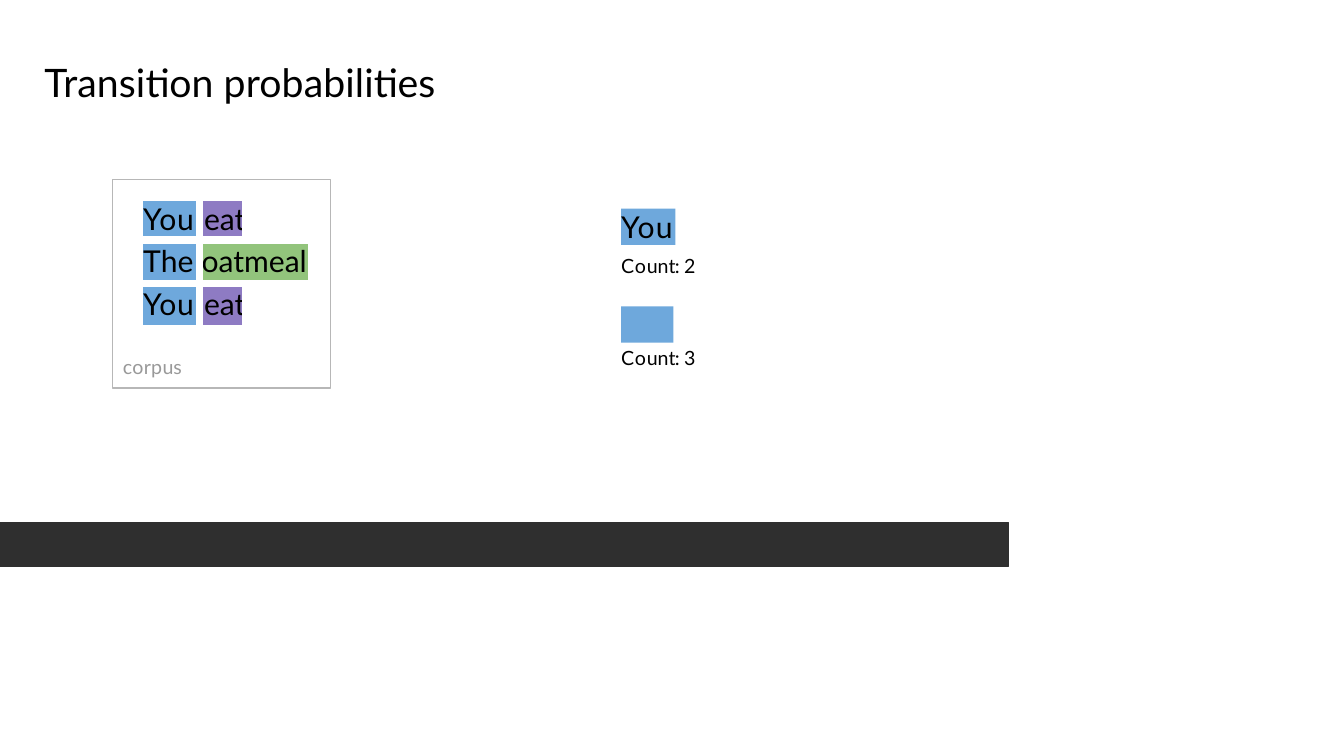
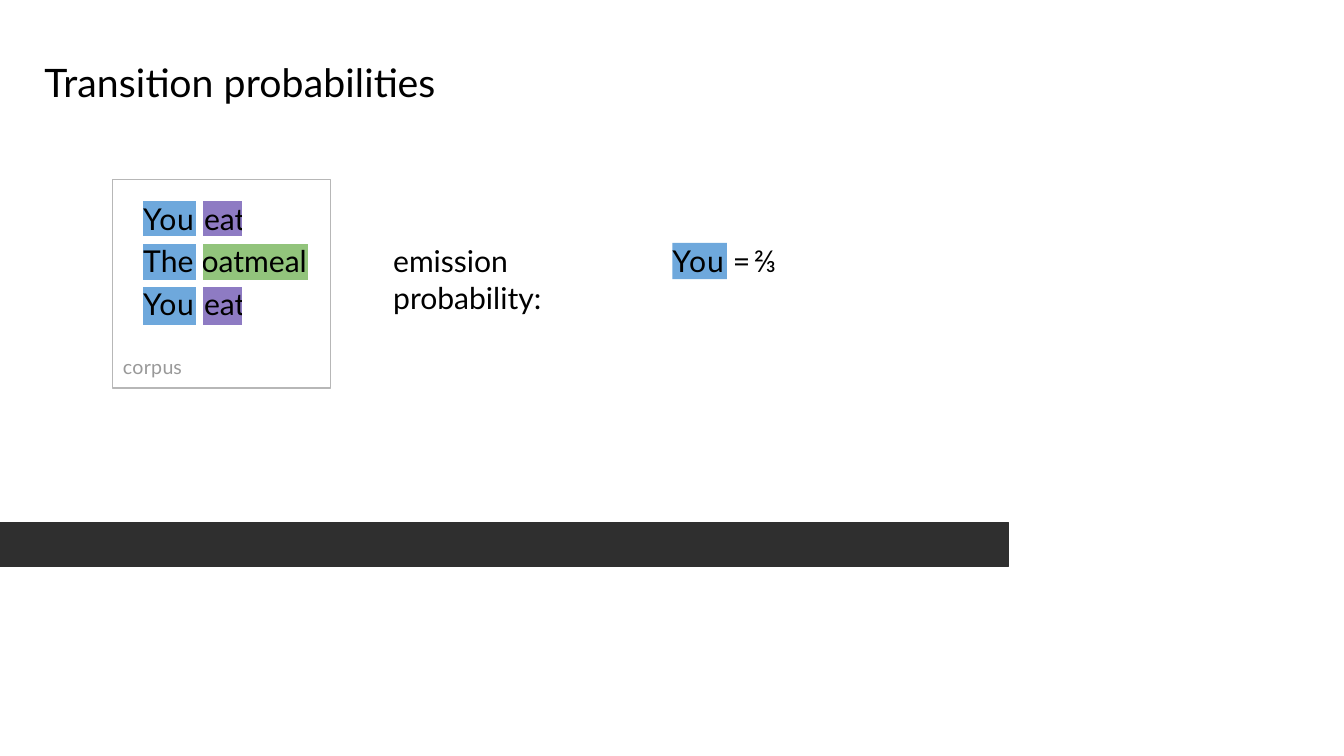
"""Build two slides on transition probabilities from a small tagged corpus."""
from lxml import etree
from pptx import Presentation
from pptx import util as u
from pptx.dml.color import RGBColor
from pptx.enum import shapes, text
from pptx.oxml import ns

COLORS = {"band": "2F2F2F", "frame": "B7B7B7", "muted": "999999", "text": "000000",
          "white": "FFFFFF", "blue": "6EA8DC", "purple": "8E7BC3", "green": "92C47C"}
FONT = "Lato"
TITLE_SIZE, WORD_SIZE, LABEL_SIZE = 28, 21.5, 14
NO_TABLE_STYLE = "{2D5ABB26-0587-4C30-8999-92F81FD0307C}"

TITLE = [("Transition probabilities", 0.1)]
CORPUS_LABEL = [("corp", 0.2), ("us", -0.1)]
CHIP_WORD = [("Yo", 0.8), ("u", -0.1)]
COLUMN_WIDTHS = (0.56, 0.46, 0.62)
EAT = ([("eat", 0)], "purple", 0.04, 1)
OATMEAL = ([("oat", 0), ("m", -0.1), ("eal", 0)], "green", 0.02, 2)
YOU = ([("You", 0.5)], "blue", 0, 1)
THE = ([("The", 0.1)], "blue", 0, 1)
CORPUS_ROWS = [
    {"height": 0.39, "top": 0, "before": 0, "line": 25.6, "cells": (YOU, EAT)},
    {"height": 0.43, "top": 0.03, "before": 2.3, "line": None, "cells": (THE, OATMEAL)},
    {"height": 0.41, "top": 0.04, "before": 2.8, "line": 25, "cells": (YOU, EAT)},
]
COUNTS = [
    {"chip": (6.16, 2.07, 0.54, 0.36), "word": CHIP_WORD, "label_top": 2.51, "count": "2"},
    {"chip": (6.16, 3.04, 0.52, 0.36), "word": [], "label_top": 3.42, "count": "3"},
]
EMISSION = [("emission probability:", 0)]
RATIO = [("= ", -3.2), ("⅔", 0)]


def rgb(name):
    return RGBColor.from_string(COLORS[name])


def write(frame, runs, size, color="text", insets=(0.01, 0.01), before=0, line=None,
          align=text.PP_ALIGN.LEFT):
    frame.word_wrap = True
    frame.auto_size = text.MSO_AUTO_SIZE.NONE
    frame.vertical_anchor = text.MSO_ANCHOR.TOP
    frame.margin_left, frame.margin_top = (u.Inches(inset) for inset in insets)
    frame.margin_right = frame.margin_bottom = 0
    fill_paragraph(frame.paragraphs[0], runs, size, color, before, line, align)


def fill_paragraph(paragraph, runs, size, color, before, line, align):
    paragraph.alignment = align
    paragraph.space_before = u.Pt(before)
    if line:
        paragraph.line_spacing = u.Pt(line)
    for content, spacing in runs:
        run = paragraph.add_run()
        run.text = content
        run.font.name, run.font.size = FONT, u.Pt(size)
        run.font.color.rgb = rgb(color)
        run._r.get_or_add_rPr().set("spc", str(round(spacing * 100)))


def add_text(slide, box, runs, size, color="text", before=1):
    shape = slide.shapes.add_textbox(*map(u.Inches, box))
    write(shape.text_frame, runs, size, color, before=before)


def add_box(slide, box, fill=None, line=None):
    shape = slide.shapes.add_shape(shapes.MSO_SHAPE.RECTANGLE, *map(u.Inches, box))
    shape.shadow.inherit = False
    if fill:
        shape.fill.solid()
        shape.fill.fore_color.rgb = rgb(fill)
    else:
        shape.fill.background()
    if line:
        shape.line.color.rgb = rgb(line)
        shape.line.width = u.Pt(0.75)
    else:
        shape.line.fill.background()
    return shape


def add_chip(slide, box, runs):
    chip = add_box(slide, box, "blue")
    if runs:
        write(chip.text_frame, runs, WORD_SIZE, insets=(0, 0), line=25.6)


def add_borders(cell, visible):
    properties = cell._tc.get_or_add_tcPr()
    for side in "LRTB":
        border = etree.SubElement(properties, ns.qn("a:ln" + side))
        if side in visible:
            border.set("w", str(u.Pt(6)))
            solid = etree.SubElement(border, ns.qn("a:solidFill"))
            etree.SubElement(solid, ns.qn("a:srgbClr")).set("val", COLORS["white"])
        else:
            etree.SubElement(border, ns.qn("a:noFill"))


def add_corpus_table(slide):
    height = sum(row["height"] for row in CORPUS_ROWS)
    box = (1.42, 1.99, sum(COLUMN_WIDTHS), height)
    last_row, last_column = len(CORPUS_ROWS) - 1, len(COLUMN_WIDTHS) - 1
    table = slide.shapes.add_table(last_row + 1, last_column + 1, *map(u.Inches, box)).table
    table.first_row = table.horz_banding = False
    table._tbl.tblPr.find(ns.qn("a:tableStyleId")).text = NO_TABLE_STYLE
    for column, width in zip(table.columns, COLUMN_WIDTHS):
        column.width = u.Inches(width)
    for row_index, row in enumerate(CORPUS_ROWS):
        table.rows[row_index].height = u.Inches(row["height"])
        vertical = ("T" if row_index else "") + ("B" if row_index < last_row else "")
        column_index = 0
        while column_index <= last_column:
            filled = column_index < len(row["cells"])
            runs, color, indent, span = row["cells"][column_index] if filled else ([], None, 0, 1)
            cell = table.cell(row_index, column_index)
            end = column_index + span - 1
            if span > 1:
                cell.merge(table.cell(row_index, end))
            sides = ("L" if column_index else "") + ("R" if end < last_column else "")
            add_borders(cell, sides + vertical)
            cell.margin_left, cell.margin_top = u.Inches(indent), u.Inches(row["top"])
            cell.margin_right = cell.margin_bottom = 0
            if color:
                cell.fill.solid()
                cell.fill.fore_color.rgb = rgb(color)
            else:
                cell.fill.background()
            centred = color == "purple"
            fill_paragraph(cell.text_frame.paragraphs[0], runs, WORD_SIZE, "text",
                           row["before"], row["line"],
                           text.PP_ALIGN.CENTER if centred else text.PP_ALIGN.LEFT)
            column_index = end + 1


def add_corpus_slide(presentation):
    slide = presentation.slides.add_slide(presentation.slide_layouts[5])
    add_box(slide, (0, 5.18, 10, 0.44), "band", "band")
    title = slide.shapes.title
    title.left, title.top, title.width, title.height = map(u.Inches, (0.43, 0.57, 5, 0.49))
    write(title.text_frame, TITLE, TITLE_SIZE, before=0.9)
    add_box(slide, (1.12, 1.78, 2.16, 2.07), line="frame")
    add_text(slide, (1.21, 3.51, 1, 0.26), CORPUS_LABEL, LABEL_SIZE, "muted")
    add_corpus_table(slide)
    return slide


def main():
    presentation = Presentation()
    presentation.slide_width, presentation.slide_height = u.Inches(13.33), u.Inches(7.5)

    slide = add_corpus_slide(presentation)
    for item in COUNTS:
        add_chip(slide, item["chip"], item["word"])
        label = [("Co", 0.6), ("un", 0), ("t: ", -0.6), (item["count"], 0.5)]
        add_text(slide, (6.15, item["label_top"], 1, 0.26), label, LABEL_SIZE)

    slide = add_corpus_slide(presentation)
    add_text(slide, (3.89, 2.4, 2.4, 0.75), EMISSION, WORD_SIZE, before=0.9)
    add_chip(slide, (6.67, 2.41, 0.54, 0.36), CHIP_WORD)
    add_text(slide, (7.26, 2.4, 0.7, 0.39), RATIO, WORD_SIZE, before=0.9)

    presentation.save("out.pptx")


if __name__ == "__main__":
    main()
